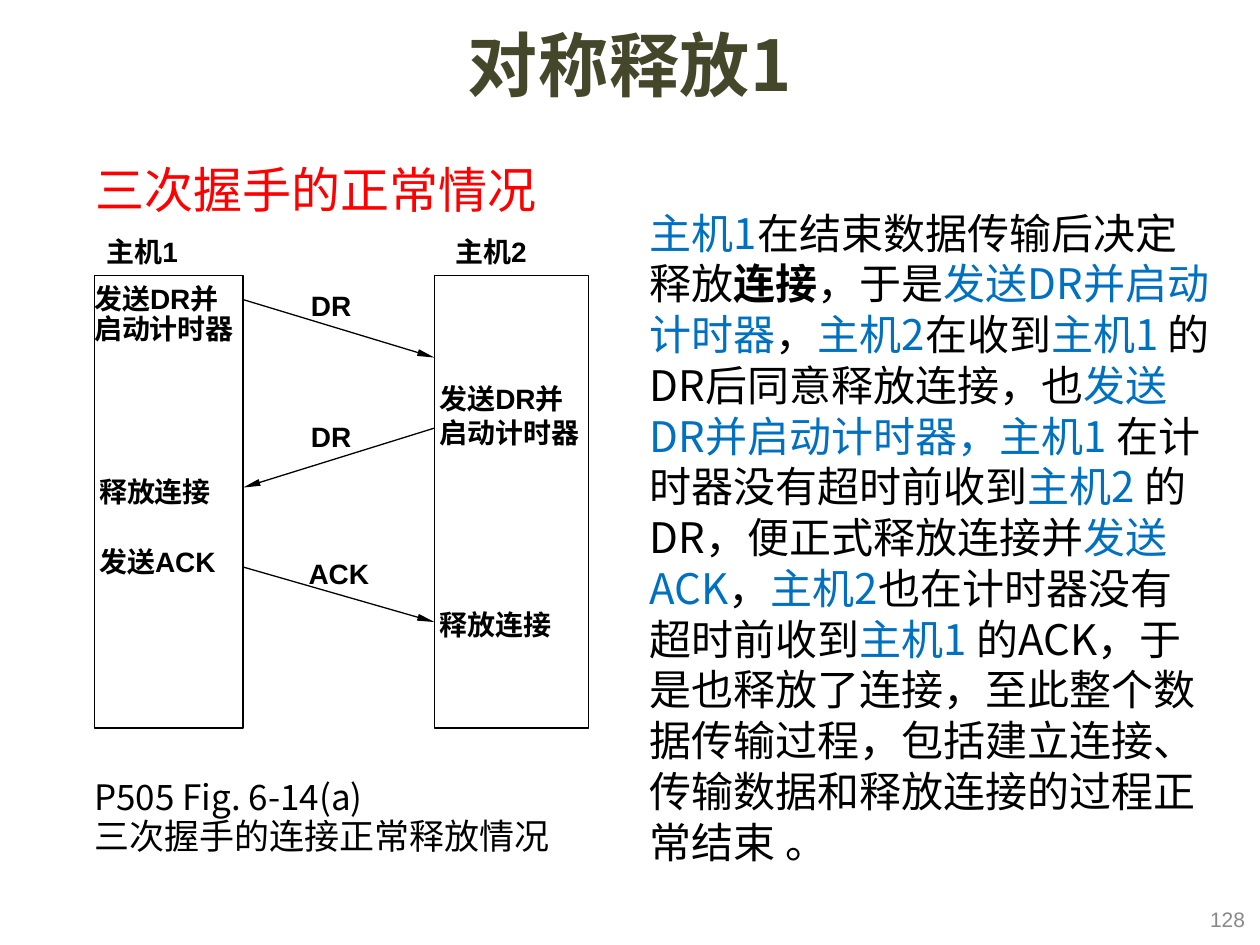
from dataclasses import dataclass

from lxml.etree import SubElement
from pptx import Presentation
from pptx.dml.color import RGBColor
from pptx.enum.shapes import MSO_CONNECTOR, MSO_SHAPE
from pptx.enum.text import MSO_ANCHOR, PP_ALIGN
from pptx.oxml.ns import qn
from pptx.util import Cm, Pt


@dataclass(frozen=True)
class Theme:
    black: str = "000000"
    olive: str = "45472B"
    red: str = "FF0000"
    blue: str = "0070C0"
    gray: str = "898989"
    chinese: str = "Noto Sans CJK SC"
    latin: str = "Arial"
    serif: str = "Times New Roman"
    title: int = 40
    heading: int = 28
    body: int = 24
    caption: int = 20
    label: int = 16
    number: int = 12
    line_width: float = 0.75
    line_height: float = 1.21


THEME = Theme()

EXPLANATION = [
    ("主机1", THEME.blue), ("在结束数据传输后决定释放", THEME.black),
    ("连接", THEME.black, True), ("，于是", THEME.black),
    ("发送DR并启动计时器", THEME.blue), ("，", THEME.black),
    ("主机2", THEME.blue), ("在收到", THEME.black),
    ("主机1 ", THEME.blue), ("的DR后同意释放连接，也", THEME.black),
    ("发送DR并启动计时器，主机1 ", THEME.blue),
    ("在计时器没有超时前收到", THEME.black),
    ("主机2 ", THEME.blue), ("的DR，便正式释放连接并", THEME.black),
    ("发送ACK", THEME.blue), ("，", THEME.black),
    ("主机2", THEME.blue), ("也在计时器没有超时前收到", THEME.black),
    ("主机1 ", THEME.blue),
    ("的ACK，于是也释放了连接，至此整个数据传输过程，"
     "包括建立连接、传输数据和释放连接的过程正常结束 。", THEME.black),
]


def add_text(page, text, area, size, font=THEME.chinese, color=THEME.black, bold=False,
             align=PP_ALIGN.LEFT, anchor=MSO_ANCHOR.TOP, inset=(0.25, 0.13),
             leading=1.0, tracking=0):
    """Text is a string, one paragraph a line, or a list of (text, color[, bold]) spans."""
    box = page.shapes.add_textbox(*(Cm(length) for length in area))
    frame = box.text_frame
    frame.word_wrap = True
    frame.vertical_anchor = anchor
    frame.margin_left = frame.margin_right = Cm(inset[0])
    frame.margin_top = frame.margin_bottom = Cm(inset[1])
    if isinstance(text, str):
        paragraphs = [[(line, color, bold)] for line in text.split("\n")]
    else:
        paragraphs = [text]
    for index, spans in enumerate(paragraphs):
        para = frame.paragraphs[0] if index == 0 else frame.add_paragraph()
        para.alignment = align
        para.line_spacing = Pt(round(size * THEME.line_height * leading, 1))
        for words, span_color, *weight in spans:
            span = para.add_run()
            span.text = words
            span.font.size = Pt(size)
            span.font.name = font
            span.font.bold = weight[0] if weight else bold
            span.font.color.rgb = RGBColor.from_string(span_color)
            properties = span.font._element
            SubElement(properties, qn("a:ea")).set("typeface", THEME.chinese)
            if tracking:
                properties.set("spc", str(tracking))
    return box


def add_host(page, left, top, width, height):
    host = page.shapes.add_shape(MSO_SHAPE.RECTANGLE, Cm(left), Cm(top), Cm(width), Cm(height))
    host.shadow.inherit = False
    host.fill.background()
    host.line.color.rgb = RGBColor.from_string(THEME.black)
    host.line.width = Pt(THEME.line_width)


def add_arrow(page, start, end):
    arrow = page.shapes.add_connector(MSO_CONNECTOR.STRAIGHT, *(Cm(v) for v in start + end))
    arrow.line.color.rgb = RGBColor.from_string(THEME.black)
    arrow.line.width = Pt(THEME.line_width)
    head = SubElement(arrow.line._get_or_add_ln(), qn("a:tailEnd"))
    for name, value in (("type", "triangle"), ("w", "sm"), ("len", "lg")):
        head.set(name, value)
    SubElement(arrow._element.spPr, qn("a:effectLst"))


def build_handshake(page, left, top, width, height):
    first_width, second_width = 3.0, 3.1
    second = width - second_width

    # Hosts and their names
    add_host(page, left, top, first_width, height)
    add_host(page, left + second, top, second_width, height)
    for name, x in (("主机1", 0), ("主机2", second + 0.17)):
        add_text(page, name, (left + x, top - 0.96, 3, 0.95), THEME.label,
                 font=THEME.latin, bold=True)

    # Messages between the hosts
    for x1, y1, x2, y2 in ((first_width, 0.48, second, 1.65),
                           (second, 3.07, first_width, 4.27),
                           (first_width, 5.87, second, 6.98)):
        add_arrow(page, (left + x1, top + y1), (left + x2, top + y2))

    # Actions and message labels
    for words, x, y, label_width, label_height, side, leading in (
            ("发送DR并启动计时器", 0, 0.08, first_width, 1.5, 0, 0.9),
            ("释放连接", 0, 3.89, first_width, 1.12, 0.1, 1),
            ("发送ACK", 0, 5.31, first_width, 1.12, 0.1, 1),
            ("发送DR并启动计时器", second, 2.03, second_width, 1.5, 0.1, 1),
            ("释放连接", second, 6.58, second_width, 1.04, 0.1, 1),
            ("DR", 4.27, 0.15, 1.4, 1.12, 0.1, 1),
            ("DR", 4.27, 2.79, 1.4, 1.12, 0.1, 1),
            ("ACK", 4.32, 5.56, 1.4, 1.12, 0, 1)):
        add_text(page, words, (left + x, top + y, label_width, label_height), THEME.label,
                 font=THEME.latin, bold=True, inset=(side, 0.1), leading=leading)


def build_headings(page, left, top, width):
    add_text(page, "对称释放1", (left, top, width, 2.4), THEME.title, color=THEME.olive,
             bold=True, align=PP_ALIGN.CENTER, anchor=MSO_ANCHOR.MIDDLE, tracking=50)
    add_text(page, "三次握手的正常情况", (left - 0.22, top + 3.0, width, 1.9),
             THEME.heading, font=THEME.serif, color=THEME.red)


def build_notes(page, left, top, width, height):
    add_text(page, EXPLANATION, (left, top, width, height), THEME.body)


def build_footer(page, left, top, width):
    add_text(page, "P505 Fig. 6-14(a)\n三次握手的连接正常释放情况", (left, top, 11.63, 1.8),
             THEME.caption, inset=(0.1, 0.1), leading=0.92)
    add_text(page, "128", (left + width - 5.92, top + 2.41, 5.92, 1.02), THEME.number,
             font=THEME.latin, color=THEME.gray, align=PP_ALIGN.RIGHT,
             anchor=MSO_ANCHOR.MIDDLE)


def main():
    deck = Presentation()
    deck.slide_width, deck.slide_height = Cm(25.4), Cm(19.05)
    page = deck.slides.add_slide(deck.slide_layouts[6])
    build_headings(page, 1.9, 0.08, 21.6)
    build_handshake(page, 1.9, 5.56, 9.96, 9.12)
    build_notes(page, 12.85, 4.04, 11.86, 13.59)
    build_footer(page, 1.8, 15.6, 23.55)
    deck.save("out.pptx")


if __name__ == "__main__":
    main()
